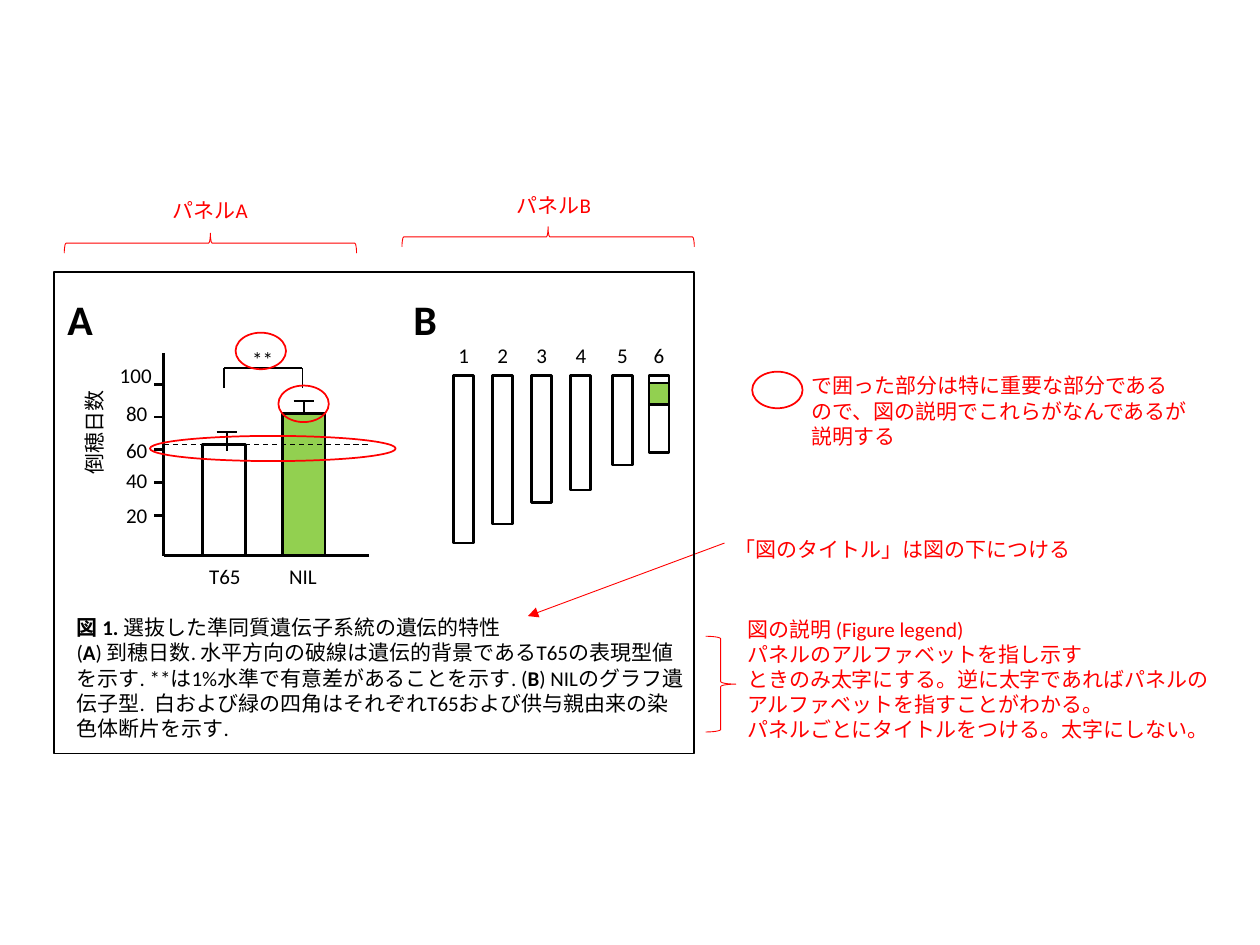
from lxml.etree import SubElement
from pptx import Presentation
from pptx.dml.color import RGBColor
from pptx.enum.dml import MSO_LINE
from pptx.enum.shapes import MSO_CONNECTOR, MSO_SHAPE
from pptx.enum.text import MSO_AUTO_SIZE as AutoSize, PP_ALIGN
from pptx.oxml.ns import qn
from pptx.util import Inches, Pt

COLUMNS, ROWS = 100, 75
BLACK, WHITE, GREEN, RED = "000000", "FFFFFF", "92D050", "FF0000"


def color(hex_code):
    return RGBColor.from_string(hex_code)


def add_run(paragraph, text, size=12, ink=BLACK, bold=False, font="Calibri"):
    run = paragraph.add_run()
    run.text = text
    run.font.size = Pt(size)
    run.font.name = font
    run.font.bold = bold
    run.font.color.rgb = color(ink)


class Figure:
    def __init__(self, deck):
        self.slide = deck.slides.add_slide(deck.slide_layouts[6])
        self.column = deck.slide_width / COLUMNS
        self.row = deck.slide_height / ROWS

    def grid(self, *lengths):
        units = (self.column, self.row) * 2
        return [round(length * unit) for length, unit in zip(lengths, units)]

    def shape(self, kind, box, fill=None, ink=BLACK, weight=1.5, turn=0):
        shape = self.slide.shapes.add_shape(kind, *self.grid(*box))
        shape.shadow.inherit = False
        shape.rotation = turn
        if fill:
            shape.fill.solid()
            shape.fill.fore_color.rgb = color(fill)
        else:
            shape.fill.background()
        shape.line.color.rgb = color(ink)
        shape.line.width = Pt(weight)

    def bar(self, x, y, width, height, fill=WHITE):
        self.shape(MSO_SHAPE.RECTANGLE, (x, y, width, height), fill)

    def ring(self, x, y, width=4, height=2.9):
        self.shape(MSO_SHAPE.OVAL, (x, y, width, height), ink=RED, weight=1)

    def brace(self, x, y, width, height, turn=0):
        self.shape(MSO_SHAPE.RIGHT_BRACE, (x, y, width, height),
                   ink=RED, weight=0.5, turn=turn)

    def line(self, *ends, ink=BLACK, weight=1.5, dashed=False, arrow=False):
        line = self.slide.shapes.add_connector(MSO_CONNECTOR.STRAIGHT, *self.grid(*ends))
        line.line.color.rgb = color(ink)
        line.line.width = Pt(weight)
        if dashed:
            line.line.dash_style = MSO_LINE.DASH
        if arrow:
            SubElement(line.line._get_or_add_ln(), qn("a:tailEnd"), type="triangle")
        SubElement(line._element.spPr, qn("a:effectLst"))

    def text(self, box, *paragraphs, center=False, wrap=True, inset=(0, 0), turn=0, **style):
        holder = self.slide.shapes.add_textbox(*self.grid(*box))
        holder.rotation = turn
        frame = holder.text_frame
        frame.word_wrap = wrap
        frame.auto_size = AutoSize.SHAPE_TO_FIT_TEXT
        frame.margin_left = frame.margin_right = Inches(inset[0])
        frame.margin_top = frame.margin_bottom = Inches(inset[1])
        for index, runs in enumerate(paragraphs):
            paragraph = frame.add_paragraph() if index else frame.paragraphs[0]
            paragraph.alignment = PP_ALIGN.CENTER if center else PP_ALIGN.LEFT
            for text, bold in [(runs, False)] if isinstance(runs, str) else runs:
                add_run(paragraph, text, **{"bold": bold, **style})

    def label(self, x, y, text, width=2.5, **options):
        self.text((x, y, width, 2), text, center=True, **options)

    def note(self, x, y, width, height, *paragraphs, wrap=False):
        self.text((x, y, width, height), *paragraphs, wrap=wrap, ink=RED)


def draw_heading_days(figure):
    axis, base, end = 13, 44.1, 29.3
    figure.line(axis, 28, axis, base)
    figure.line(end, base, axis, base)
    for name, x, top, fill, label_x in (("T65", 16.1, 35.3, WHITE, 16.6),
                                        ("NIL", 22.4, 32.8, GREEN, 22.8)):
        figure.bar(x, top, 3.4, base - top, fill)
        figure.label(label_x, 44.7, name)
    figure.line(axis, 35.3, end, 35.3, weight=0.75, dashed=True)
    figure.label(3.5, 33.3, "倒穂日数", width=8, turn=270)

    for index, label_y in enumerate((39.9, 37.1, 34.7, 31.8, 28.8)):
        tick_y = 40.9 - 2.6 * index
        figure.line(13.1, tick_y, 12.2, tick_y)
        value = str(20 * (index + 1))
        width = 0.85 * len(value)
        figure.label(10.85 - width / 2 if index < 4 else 9.5, label_y, value,
                     width=width, wrap=False)

    figure.label(19.6, 27.5, "**")
    left, right, top = 17.8, 24, 29.2
    for x in (left, right):
        figure.line(x, 30.8, x, top, weight=1)
    figure.line(left, top, right, top, weight=1)
    for x, cap, foot in ((18, 34.3, 35.8), (24.1, 31.8, 32.8)):
        figure.line(x - 0.8, cap, x + 0.8, cap, weight=1)
        figure.line(x, cap, x, foot, weight=1)


def draw_genotypes(figure):
    top, width = 29.8, 1.6
    chromosomes = ((36, 13.3), (39.1, 11.8), (42.2, 10.1),
                   (45.3, 9.1), (48.6, 7.1), (51.5, 6.1))
    for number, (x, length) in enumerate(chromosomes, 1):
        figure.bar(x, top, width, length)
        figure.label(x - 0.45, 27.2, str(number))
    figure.bar(chromosomes[-1][0], 30.4, width, 1.7, GREEN)


def draw_caption(figure):
    figure.text(
        (5.1, 48.3, 50.6, 11.1),
        [("図 1. ", True), ("選抜した準同質遺伝子系統の遺伝的特性", False)],
        [("(", False), ("A", True),
         (") 到穂日数. 水平方向の破線は遺伝的背景であるT65の表現型値を示す. "
          "**は1%水準で有意差があることを示す. (", False),
         ("B", True),
         (") NILのグラフ遺伝子型.  白および緑の四角はそれぞれT65および"
          "供与親由来の染色体断片を示す.", False)],
        inset=(0.1, 0.05))


def draw_notes(figure):
    figure.line(57.5, 43.1, 41.9, 48.9, ink=RED, weight=0.5, arrow=True)
    figure.note(58.3, 42.6, 26.9, 2, "「図のタイトル」は図の下につける")
    figure.brace(56, 50.5, 2.4, 7.6)
    figure.note(59.3, 48.9, 37, 10.1,
                "図の説明 (Figure legend)",
                "パネルのアルファベットを指し示す",
                "ときのみ太字にする。逆に太字であればパネルの",
                "アルファベットを指すことがわかる。",
                "パネルごとにタイトルをつける。太字にしない。")
    figure.ring(18.7, 26.4)
    figure.ring(22.1, 30.6)
    figure.ring(11.9, 34.6, 19.5, 2)
    figure.ring(59.7, 29.5)
    figure.note(64.4, 29.6, 30.3, 6.1,
                "で囲った部分は特に重要な部分である",
                "ので、図の説明でこれらがなんであるが",
                "説明する")


def draw_panels(figure):
    figure.shape(MSO_SHAPE.RECTANGLE, (4.3, 21.6, 50.8, 38.2), weight=1)
    for letter, letter_x, brace_x, brace_y, name_x, name_y in (
            ("A", 5.1, 15.9, 7.7, 13.7, 15.7),
            ("B", 32.5, 42.7, 7.2, 41, 15.3)):
        figure.label(letter_x, 23.3, letter, size=24, bold=True)
        figure.brace(brace_x, brace_y, 1.6, 23.2, turn=270)
        figure.note(name_x, name_y, 6, 2, "パネル" + letter, wrap=True)


def main():
    deck = Presentation()
    deck.slide_width, deck.slide_height = Inches(10), Inches(7.5)
    figure = Figure(deck)
    draw_caption(figure)
    draw_heading_days(figure)
    draw_genotypes(figure)
    draw_notes(figure)
    draw_panels(figure)
    deck.save("out.pptx")


if __name__ == "__main__":
    main()
